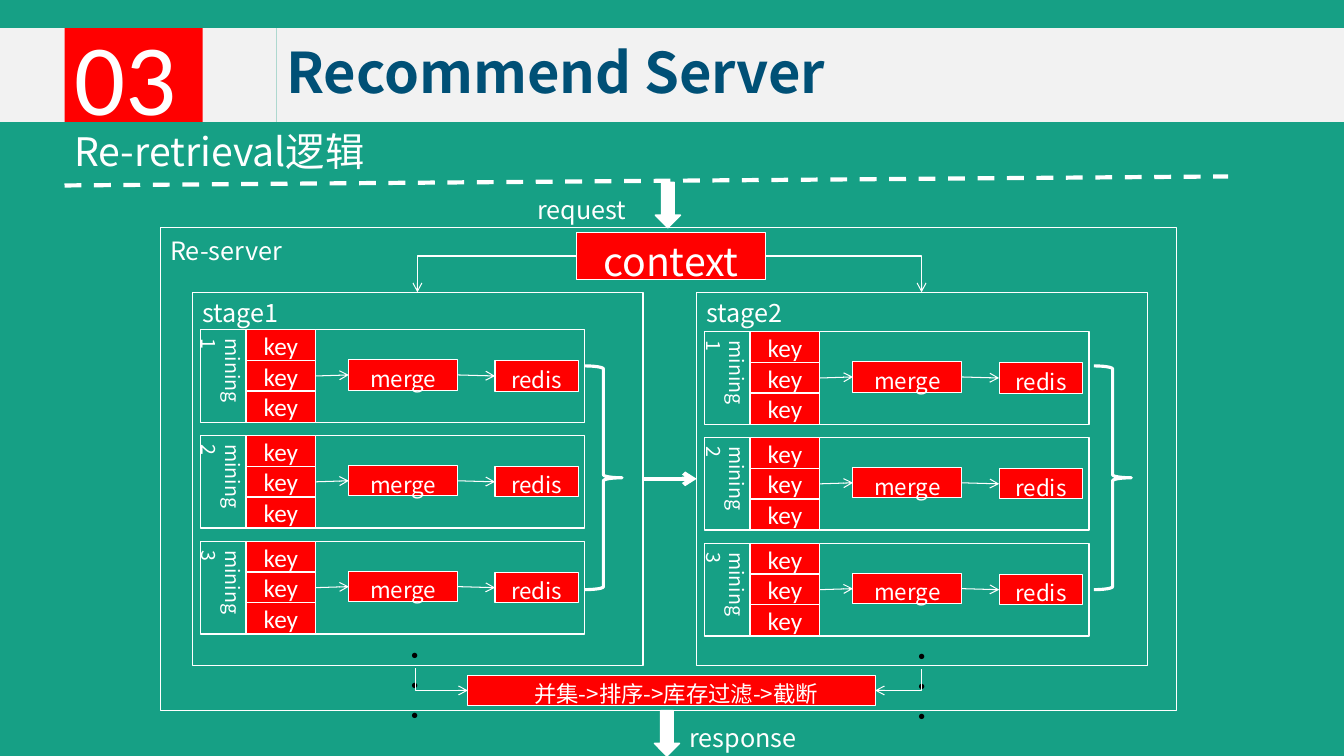
import pptx
import pptx.util
import pptx.dml.color
import pptx.enum.dml
import pptx.enum.shapes
import pptx.enum.text
import pptx.oxml
import pptx.oxml.ns

WHITE = pptx.dml.color.RGBColor(0xFF, 0xFF, 0xFF)
RED = pptx.dml.color.RGBColor(0xFF, 0x00, 0x00)
GREEN = pptx.dml.color.RGBColor(0x16, 0xA0, 0x85)
GREY = pptx.dml.color.RGBColor(0xF2, 0xF2, 0xF2)
NAVY = pptx.dml.color.RGBColor(0x00, 0x50, 0x76)
BLACK = pptx.dml.color.RGBColor(0x00, 0x00, 0x00)
NOTO = "Noto Sans CJK SC"
SHAPE = pptx.enum.shapes.MSO_SHAPE
LEFT = pptx.enum.text.PP_ALIGN.LEFT
CENTER = pptx.enum.text.PP_ALIGN.CENTER
TOP = pptx.enum.text.MSO_ANCHOR.TOP
MIDDLE = pptx.enum.text.MSO_ANCHOR.MIDDLE
CELL = pptx.util.Inches(1)

prs = pptx.Presentation()
prs.slide_width = int(13.33 * CELL)
prs.slide_height = int(7.5 * CELL)
s = prs.slides.add_slide(prs.slide_layouts[5])
s.background.fill.solid()
s.background.fill.fore_color.rgb = GREEN


def box(text, x, y, w, h, sp=None, kind=SHAPE.RECTANGLE, fill=None, line=None, size=18, font=NOTO,
        color=WHITE, bold=False, align=LEFT, anchor=TOP, vert=None, spacing=None, inset=0.1):
    place = [int(v * CELL) for v in (x, y, w, h)]
    if sp is not None:
        sp.left, sp.top, sp.width, sp.height = place
    elif kind is None:
        sp = s.shapes.add_textbox(*place)
    else:
        sp = s.shapes.add_shape(kind, *place)
        sp.shadow.inherit = False
    if fill is None:
        sp.fill.background()
    else:
        sp.fill.solid()
        sp.fill.fore_color.rgb = fill
    if line is None:
        sp.line.fill.background()
    else:
        sp.line.color.rgb = WHITE
        sp.line.width = pptx.util.Pt(line)
    if not text:
        return sp
    tf = sp.text_frame
    tf.word_wrap = True
    tf.auto_size = pptx.enum.text.MSO_AUTO_SIZE.NONE
    tf.vertical_anchor = anchor
    tf.margin_left = int(inset * CELL)
    if vert:
        tf._txBody.bodyPr.set("vert", vert)
    p = tf.paragraphs[0]
    p.alignment = align
    if spacing:
        p.line_spacing = spacing
    r = p.add_run()
    r.text = text
    r.font.size = pptx.util.Pt(size)
    r.font.name = font
    r.font.bold = bold
    r.font.color.rgb = color
    ea = pptx.oxml.parse_xml('<a:ea %s typeface="%s"/>' % (pptx.oxml.ns.nsdecls("a"), font))
    r.font._element.find(pptx.oxml.ns.qn("a:latin")).addnext(ea)
    return sp


def connect(x1, y1, x2, y2, width=0.75, bent=False, end="tailEnd"):
    kind = pptx.enum.shapes.MSO_CONNECTOR
    cn = s.shapes.add_connector(kind.ELBOW if bent else kind.STRAIGHT,
                                *[int(v * CELL) for v in (x1, y1, x2, y2)])
    cn.line.color.rgb = WHITE
    cn.line.width = pptx.util.Pt(width)
    sp_pr = cn._element.spPr
    if bent:
        sp_pr.find(pptx.oxml.ns.qn("a:prstGeom")).set("prst", "bentConnector2")
    if end:
        sp_pr.find(pptx.oxml.ns.qn("a:ln")).append(
            pptx.oxml.parse_xml('<a:%s %s type="arrow"/>' % (end, pptx.oxml.ns.nsdecls("a"))))
    sp_pr.append(pptx.oxml.parse_xml("<a:effectLst %s/>" % pptx.oxml.ns.nsdecls("a")))
    return cn


box("", 0, 0.28, 2.74, 0.93, fill=GREY)
box("03", 0.64, 0.28, 1.37, 0.93, fill=RED, size=72, font="Calibri", anchor=MIDDLE)
box("Recommend Server", 2.74, 0.28, 10.59, 0.93, sp=s.shapes.title, fill=GREY, size=40,
    color=NAVY, bold=True, anchor=MIDDLE, spacing=0.9)
box("Re-retrieval逻辑", 0.64, 1.21, 4.07, 0.57, kind=None, size=28)

box("", 1.59, 2.26, 10.08, 4.79, line=1)
box("Re-server", 1.59, 2.29, 1.65, 0.33, kind=None)
for label, x, y, arrow_x, arrow_y in [("request", 5.23, 1.88, 6.5, 1.81),
                                      ("response", 6.74, 7.12, 6.49, 7.05)]:
    box(label, x, y, 1.5, 0.33, kind=None)
    box("", arrow_x, arrow_y, 0.25, 0.45, kind=SHAPE.DOWN_ARROW, fill=WHITE, line=1)

for stage, (x, dy, brace_x, dots_x) in enumerate([(1.91, 0, 5.8, 3.89), (6.91, 0.02, 10.85, 8.92)], 1):
    box("", x, 2.9, 4.47, 3.7, line=1)
    box(f"stage{stage}", x, 2.9, 1.65, 0.33, kind=None)
    box("···", dots_x, 6.3 + dy / 2, 0.45, 0.33, kind=None, color=BLACK, spacing=pptx.util.Pt(21.6))
    for row in range(3):
        y = 3.27 + dy + 1.05 * row
        mid = y + 0.46
        box(f"mining{row + 1}", x + 0.13, y - 0.01, 0.44, 0.93, kind=None, size=14, vert="eaVert")
        box("", x + 0.08, y, 3.81, 0.92, line=1)
        for key in range(3):
            box("key", x + 0.53, y + 0.305 * key, 0.69, 0.31, fill=RED, line=1, font="Calibri",
                align=CENTER, anchor=MIDDLE)
        connect(x + 1.22, mid, x + 1.55, mid - 0.01)
        box("merge", x + 1.55, y + 0.3, 1.08, 0.3, fill=RED, line=0.75, size=16, align=CENTER)
        connect(x + 2.63, mid - 0.01, x + 3, mid)
        box("redis", x + 3, y + 0.31, 0.83, 0.3, fill=RED, line=0.75, size=16, align=CENTER)
    brace = box("", brace_x, 3.63, 0.37, 2.22, kind=SHAPE.RIGHT_BRACE, line=2.25)
    brace.adjustments[0], brace.adjustments[1] = 0.08, 0.5

connect(6.38, 4.75, 6.91, 4.75, width=3)
box("context", 5.72, 2.31, 1.87, 0.46, fill=RED, line=0.75, size=28, align=CENTER)
box("并集->排序->库存过滤->截断", 4.64, 6.7, 4.04, 0.3, fill=RED, line=0.75, size=16,
    align=CENTER, inset=0.19)
for x1, y1, x2, y2, end in [(5.72, 2.54, 4.14, 2.9, "tailEnd"), (7.59, 2.54, 9.14, 2.9, "tailEnd"),
                            (4.64, 6.85, 4.12, 6.63, "headEnd"), (8.68, 6.85, 9.14, 6.64, "headEnd")]:
    connect(x1, y1, x2, y2, bent=True, end=end)

divider = connect(0.64, 1.84, 12.18, 1.75, width=3, end=None)
divider.line.dash_style = pptx.enum.dml.MSO_LINE.DASH

prs.save("out.pptx")
